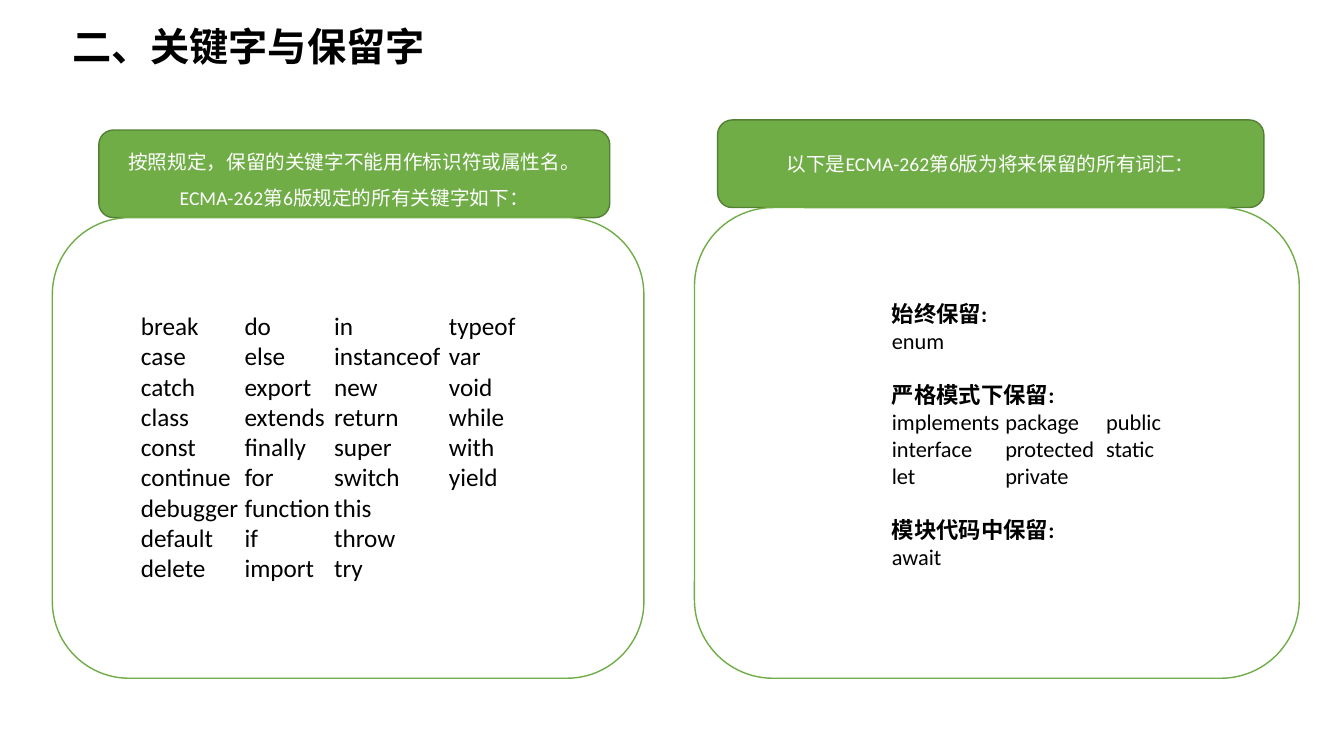
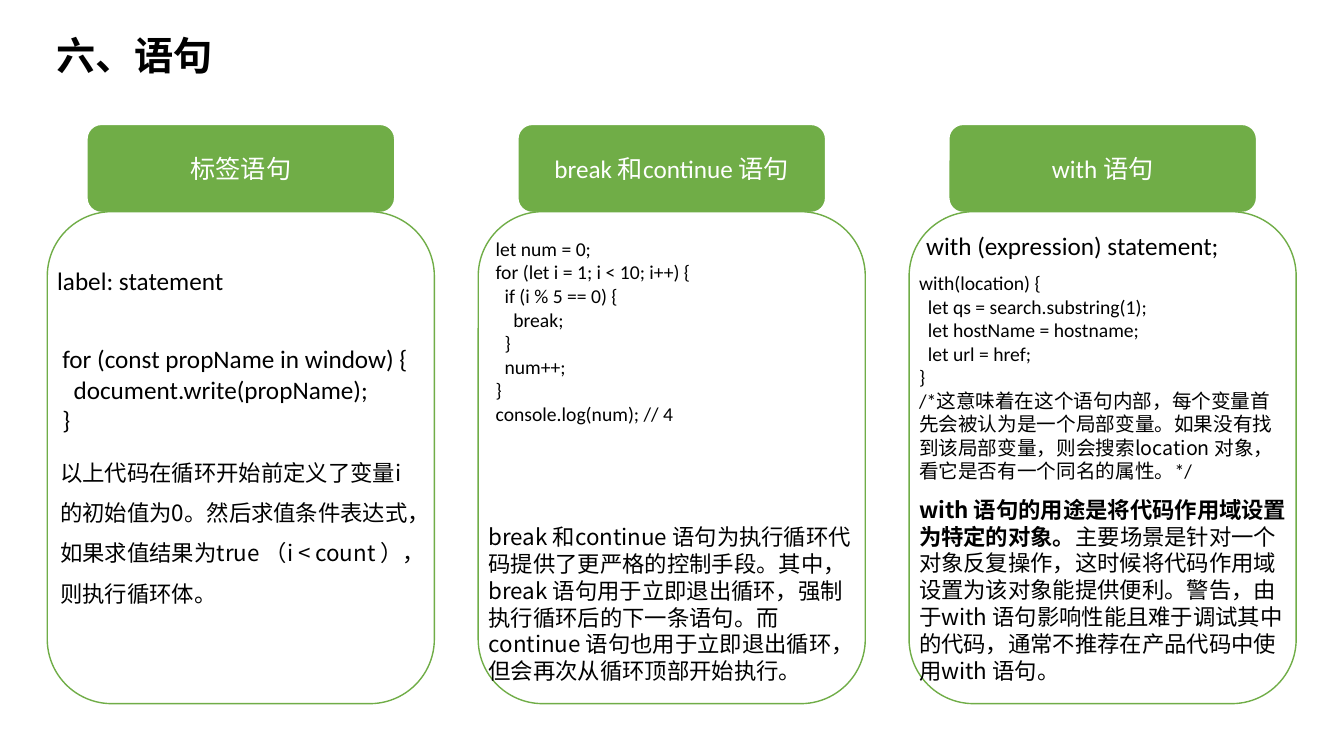
from lxml import etree
from pptx import Presentation
from pptx.dml.color import RGBColor
from pptx.enum import shapes, text
from pptx.oxml import ns
from pptx.util import Pt

GREEN = RGBColor(0x70, 0xAD, 0x47)
DARK = RGBColor(0x53, 0x80, 0x35)
WHITE = RGBColor(0xFF, 0xFF, 0xFF)
BLACK = RGBColor(0, 0, 0)
LATIN = "Calibri"
HAN = "Noto Sans CJK SC"
STEP = 0.45  # code indent per level, in ems


# Text
def style(para, size, color=BLACK, name=LATIN, bold=False):
    font = para.font
    font.size, font.bold, font.name = Pt(size), bold, name
    font.color.rgb = color
    east = etree.SubElement(para._p.pPr.defRPr, ns.qn("a:ea"))
    east.set("typeface", HAN)


def set_tabs(para, stops):
    tabs = etree.SubElement(para._p.get_or_add_pPr(), ns.qn("a:tabLst"))
    for stop in stops:
        tab = etree.SubElement(tabs, ns.qn("a:tab"))
        tab.set("pos", str(Pt(stop)))
        tab.set("algn", "l")


def add_box(slide, box):
    frame = slide.shapes.add_textbox(*map(Pt, box)).text_frame
    frame.word_wrap = True
    frame.auto_size = text.MSO_AUTO_SIZE.SHAPE_TO_FIT_TEXT
    return frame


def add_para(frame, index, words):
    para = frame.add_paragraph() if index else frame.paragraphs[0]
    para.add_run().text = words
    return para


def add_note(slide, box, words, size=16, name=HAN, bold=False, space=1.0):
    para = add_para(add_box(slide, box), 0, words)
    para.line_spacing = space
    style(para, size, name=name, bold=bold)
    return para


def add_title(slide, box, words):
    add_note(slide, box, words, 28, LATIN, bold=True)


def add_code(slide, box, lines, size):
    """Each line is a pair: indent level and words."""
    frame = add_box(slide, box)
    for i, (level, words) in enumerate(lines):
        para = add_para(frame, i, words)
        indent = Pt(round(level * STEP * size, 2))
        para._p.get_or_add_pPr().set("marL", str(indent))
        style(para, size)
    return frame


def add_words(slide, box, groups, size, stops):
    """Each group is a pair: bold heading (or None) and rows of words."""
    frame = add_box(slide, box)
    count = 0
    for head, rows in groups:
        lines = [(head, True)] if head else []
        lines += [("\t".join(row.split()), False) for row in rows]
        for i, (words, bold) in enumerate(lines):
            para = add_para(frame, count, words)
            set_tabs(para, stops)
            if count and i == 0:
                para.space_before = Pt(19.5)
            style(para, size, bold=bold)
            count += 1


# Cards
def add_panel(slide, box, fill, line, width):
    panel = slide.shapes.add_shape(
        shapes.MSO_SHAPE.ROUNDED_RECTANGLE, *map(Pt, box))
    panel.shadow.inherit = False
    panel.fill.solid()
    panel.fill.fore_color.rgb = fill
    panel.line.color.rgb = line
    panel.line.width = Pt(width)
    return panel


def add_card(slide, head, body, words, size, line, width, space=1.0):
    frame = add_panel(slide, head, GREEN, line, width).text_frame
    frame.word_wrap = True
    frame.vertical_anchor = text.MSO_ANCHOR.MIDDLE
    para = add_para(frame, 0, words)
    para.alignment = text.PP_ALIGN.CENTER
    para.line_spacing = space
    style(para, size, WHITE)
    add_panel(slide, body, WHITE, GREEN, 1)


# Slides
def build_keys(slide):
    add_title(slide, (44.6, 12.2, 486.7, 41), "二、关键字与保留字")
    add_card(slide, (70.6, 92.9, 365, 62.6), (37.4, 155.5, 422.6, 329),
             "按照规定，保留的关键字不能用作标识符或属性名。"
             "ECMA-262第6版规定的所有关键字如下：", 14, DARK, 1, 1.5)
    add_card(slide, (512.6, 85.7, 390.2, 62.6), (496.1, 148.3, 432, 336.2),
             "以下是ECMA-262第6版为将来保留的所有词汇：", 14, DARK, 1)
    add_words(slide, (93.6, 218.2, 299.5, 203.8), [
        (None, ["break do in typeof", "case else instanceof var",
                "catch export new void", "class extends return while",
                "const finally super with", "continue for switch yield",
                "debugger function this", "default if throw",
                "delete import try"])], 18, (74, 138, 220))
    add_words(slide, (630, 211, 228.2, 200.9), [
        ("始终保留:", ["enum"]),
        ("严格模式下保留:", ["implements package public",
                      "interface protected static", "let private"]),
        ("模块代码中保留:", ["await"])], 16, (81, 153))


def build_forms(slide):
    add_title(slide, (33.1, 18.7, 290.9, 41), "六、语句")
    heads = ["标签语句", "break 和continue 语句", "with 语句"]
    for i, words in enumerate(heads):
        left = 33.8 + 307.8 * i
        add_card(slide, (left + 28.1, 88.6, 220.3, 63.4),
                 (left, 151.2, 276.5, 351.4), words, 18, WHITE, 1.5)

    # Label
    add_code(slide, (33.8, 185.8, 276.5, 28.8), [(0, "label: statement")], 18)
    add_code(slide, (37.4, 241.9, 272.2, 72.7), [
        (0, "for (const propName in window) {"),
        (1, "document.write(propName);"), (0, "}")], 18)
    add_note(slide, (36, 314.6, 270.7, 123.8),
             "以上代码在循环开始前定义了变量i 的初始值为0。然后求值条件表达式，"
             "如果求值结果为true （i < count ），则执行循环体。", space=1.5)

    # Break and continue
    add_code(slide, (347, 165.6, 265.7, 142.6), [
        (0, "let num = 0;"), (0, "for (let i = 1; i < 10; i++) {"),
        (1, "if (i % 5 == 0) {"), (2, "break;"), (1, "}"),
        (1, "num++;"), (0, "}"), (0, "console.log(num); // 4")], 14)
    add_note(slide, (342, 370.1, 276.5, 123.8),
             "break 和continue 语句为执行循环代码提供了更严格的控制手段。其中，"
             "break 语句用于立即退出循环，强制执行循环后的下一条语句。而"
             "continue 语句也用于立即退出循环，但会再次从循环顶部开始执行。")

    # With
    add_code(slide, (654.5, 161.3, 259.9, 28.8),
             [(0, "with (expression) statement;")], 18)
    use = add_note(slide, (649.4, 350.6, 278.6, 142.6),
                   "with 语句的用途是将代码作用域设置为特定的对象。")
    use.runs[0].font.bold = True
    use.add_run().text = (
        "主要场景是针对一个对象反复操作，这时候将代码作用域设置为该对象能提供便利。"
        "警告，由于with 语句影响性能且难于调试其中的代码，"
        "通常不推荐在产品代码中使用with 语句。")
    frame = add_code(slide, (649.4, 190.1, 272.2, 159.8), [
        (0, "with(location) {"), (1, "let qs = search.substring(1);"),
        (1, "let hostName = hostname;"), (1, "let url = href;"),
        (0, "}"), (0, "/*")], 14)
    remark = frame.paragraphs[-1]
    run = remark.add_run()
    run.text = ("这意味着在这个语句内部，每个变量首先会被认为是一个局部变量。"
                "如果没有找到该局部变量，则会搜索location 对象，"
                "看它是否有一个同名的属性。")
    run.font.name = HAN
    remark.add_run().text = "*/"


def main():
    deck = Presentation()
    deck.slide_width, deck.slide_height = Pt(960), Pt(540)
    for build in (build_keys, build_forms):
        build(deck.slides.add_slide(deck.slide_layouts[6]))
    deck.save("out.pptx")


main()
